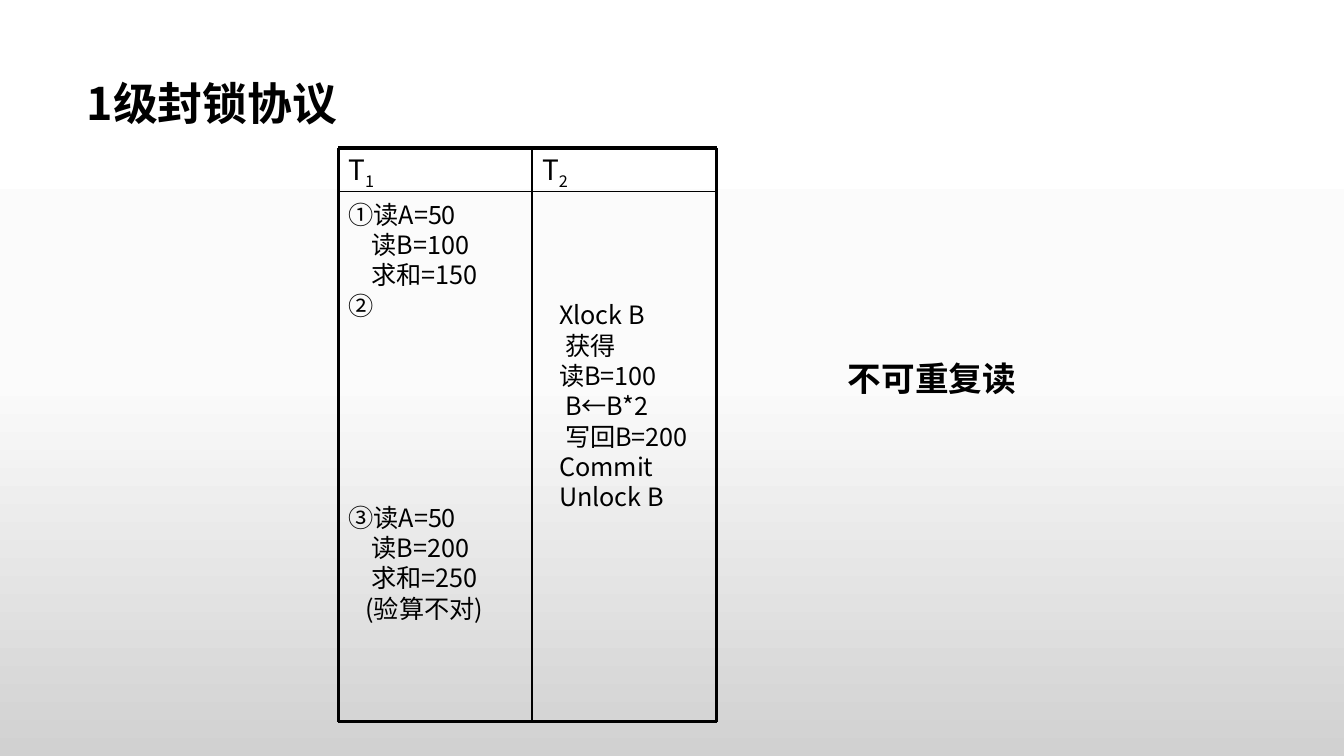
from copy import deepcopy

from lxml import etree
from pptx import Presentation
from pptx.dml.color import RGBColor
from pptx.enum import shapes, text
from pptx.oxml import ns
from pptx.util import Cm, Pt

FONT = "Noto Sans CJK SC"
COLORS = {"ink": "000000", "top": "FFFFFF", "middle": "FBFBFB", "bottom": "D1D1D1"}
THICK, THIN = Pt(2.25), Pt(1)
ROW_PITCH = Pt(21.65)
DEEP, SHALLOW = Cm(0.58), Cm(0.43)

# Grid lines of the schedule
COLUMN_EDGES = (Cm(8.53), Cm(13.41), Cm(18.06))
ROW_EDGES = (Cm(3.73), Cm(4.83), Cm(18.19))
EDGE_WIDTHS = (THICK, THIN, THICK)

# Each step: wording, indent, empty rows above it
T1_STEPS = [
    ("①读A=50", 0, 0),
    ("读B=100", DEEP, 0),
    ("求和=150", DEEP, 0),
    ("②", 0, 0),
    ("③读A=50", 0, 6),
    ("读B=200", DEEP, 0),
    ("求和=250", DEEP, 0),
    ("(验算不对)", SHALLOW, 0),
]
T2_STEPS = [
    ("Xlock B", SHALLOW, 0),
    ("获得", DEEP, 0),
    ("读B=100", SHALLOW, 0),
    ("B←B*2", DEEP, 0),
    ("写回B=200", DEEP, 0),
    ("Commit", SHALLOW, 0),
    ("Unlock B", SHALLOW, 0),
]


def add_run(paragraph, wording, size, bold=False):
    run = paragraph.add_run()
    run.text = wording
    font = run.font
    font.size, font.bold, font.name = Pt(size), bold, FONT
    font.color.rgb = RGBColor.from_string(COLORS["ink"])
    east_asian = etree.SubElement(font._element, ns.qn("a:ea"))
    east_asian.set("typeface", FONT)
    return run


def paint_background(slide):
    fill = slide.background.fill
    fill.gradient()
    fill.gradient_angle = 270
    stop_list = slide.element.find(".//" + ns.qn("a:gsLst"))
    stop_list.insert(1, deepcopy(stop_list[0]))
    for stop, name, position in zip(fill.gradient_stops, ("top", "middle", "bottom"), (0, 0.5, 1)):
        stop.color.rgb = RGBColor.from_string(COLORS[name])
        stop.position = position


def set_title(slide, wording):
    title = slide.shapes.title
    title.left, title.top, title.width, title.height = Cm(1.93), Cm(1.62), Cm(21.59), Cm(2.11)
    title.text_frame.vertical_anchor = text.MSO_ANCHOR.MIDDLE
    paragraph = title.text_frame.paragraphs[0]
    paragraph.alignment = text.PP_ALIGN.LEFT
    paragraph.line_spacing = 0.9
    add_run(paragraph, wording, 32, bold=True)


def add_cell(slide, row, column):
    """Text frame that fills one cell of the schedule grid."""
    left, right = COLUMN_EDGES[column:column + 2]
    top, bottom = ROW_EDGES[row:row + 2]
    frame = slide.shapes.add_textbox(left, top, right - left, bottom - top).text_frame
    frame.word_wrap = True
    return frame


def add_header(slide, column):
    paragraph = add_cell(slide, 0, column).paragraphs[0]
    add_run(paragraph, "T", 20)
    subscript = add_run(paragraph, str(column + 1), 20)
    subscript.font._element.set("baseline", "-25000")


def add_steps(slide, column, steps, margin_top):
    frame = add_cell(slide, 1, column)
    frame.margin_top = margin_top
    for number, (wording, indent, gap_rows) in enumerate(steps):
        paragraph = frame.add_paragraph() if number else frame.paragraphs[0]
        paragraph.line_spacing = ROW_PITCH
        if gap_rows:
            paragraph.space_before = gap_rows * ROW_PITCH
        if indent:
            properties = paragraph._p.get_or_add_pPr()
            properties.set("marL", str(int(indent)))
            properties.set("indent", "0")
        add_run(paragraph, wording, 18)


def add_rule(slide, start, end, width):
    rule = slide.shapes.add_connector(shapes.MSO_CONNECTOR.STRAIGHT, *start, *end)
    rule.line.color.rgb = RGBColor.from_string(COLORS["ink"])
    rule.line.width = width
    etree.SubElement(rule._element.spPr, ns.qn("a:effectLst"))


def add_schedule(slide):
    """Steps of the two transactions, one per column, inside a ruled grid."""
    add_steps(slide, 1, T2_STEPS, Cm(2.72))
    add_steps(slide, 0, T1_STEPS, Cm(0.18))
    for column in (1, 0):
        add_header(slide, column)
    left, right = COLUMN_EDGES[0], COLUMN_EDGES[-1]
    top, bottom = ROW_EDGES[0], ROW_EDGES[-1]
    for y, width in zip(ROW_EDGES, EDGE_WIDTHS):
        add_rule(slide, (left, y), (right, y), width)
    for x, width in zip(COLUMN_EDGES, EDGE_WIDTHS):
        add_rule(slide, (x, top), (x, bottom), width)


def add_verdict(slide, wording):
    verdict = slide.shapes.add_textbox(Cm(19.89), Cm(8.67), Cm(7.19), Cm(1.7))
    frame = verdict.text_frame
    frame.word_wrap = False
    frame.vertical_anchor = text.MSO_ANCHOR.MIDDLE
    paragraph = frame.paragraphs[0]
    paragraph.alignment = text.PP_ALIGN.CENTER
    add_run(paragraph, wording, 24, bold=True)


def main():
    deck = Presentation()
    deck.slide_width, deck.slide_height = Cm(33.87), Cm(19.05)
    slide = deck.slides.add_slide(deck.slide_layouts.get_by_name("Title Only"))
    paint_background(slide)
    set_title(slide, "1级封锁协议")
    add_schedule(slide)
    add_verdict(slide, "不可重复读")
    deck.save("out.pptx")


if __name__ == "__main__":
    main()
